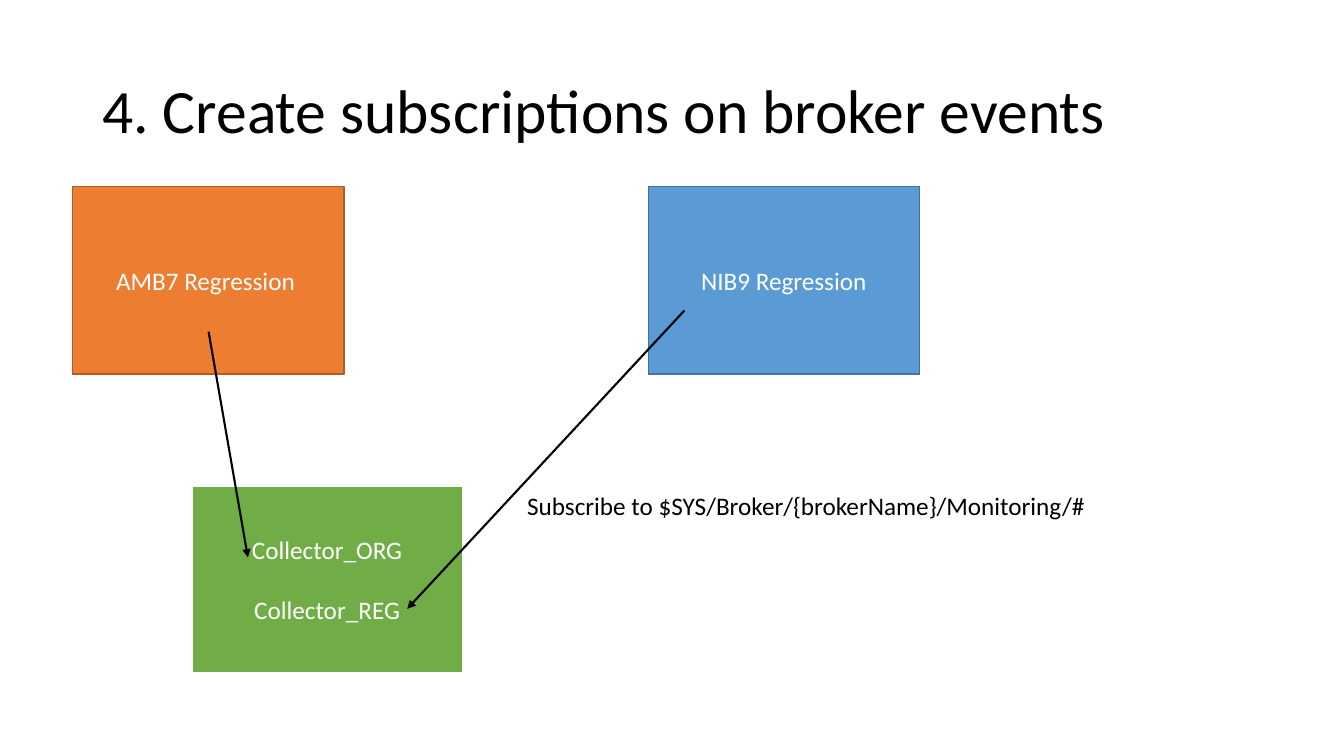
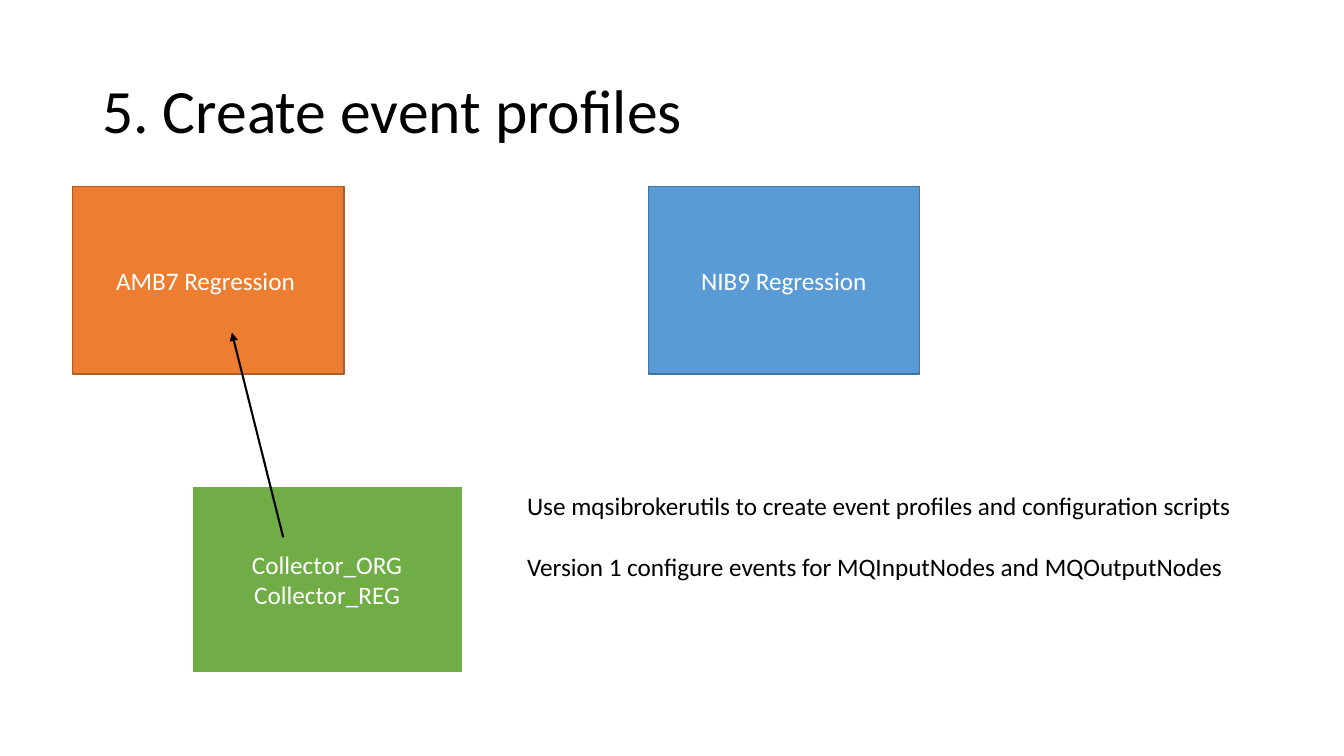
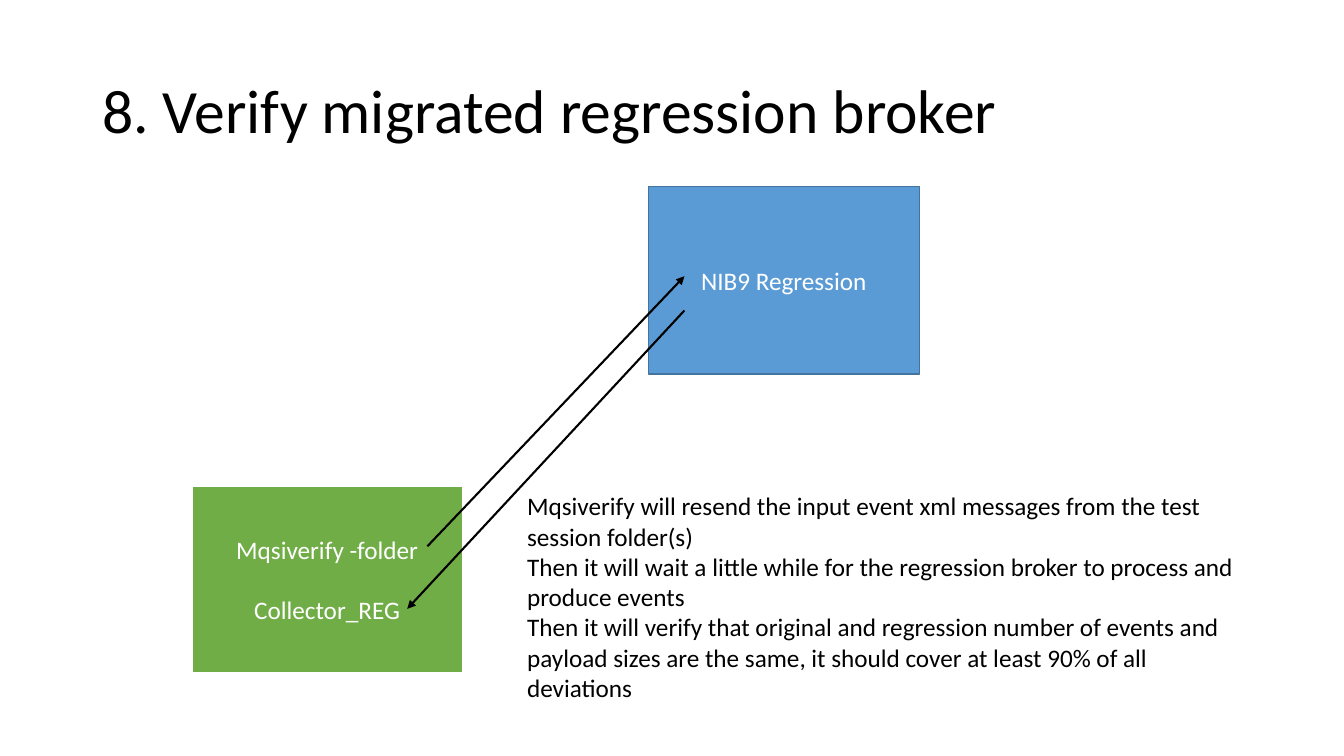
from lxml.etree import SubElement
from pptx import Presentation
from pptx.dml.color import RGBColor
from pptx.enum.shapes import MSO_CONNECTOR as Connector, MSO_SHAPE as Preset
from pptx.enum.text import MSO_ANCHOR as Anchor, MSO_AUTO_SIZE as AutoSize, PP_ALIGN as Align
from pptx.oxml.ns import qn
from pptx.util import Pt

FONT = "Calibri"
BLACK = "000000"
WHITE = "FFFFFF"
BODY_SIZE = 18
PARAGRAPH_GAP = 21.5
BOX_WIDTH, BOX_HEIGHT = 193.7, 133.9
BROKER_TOP = 133.2
COLLECTOR_TOP = 347

OLD_BROKER = dict(left=52, top=BROKER_TOP, fill="ED7D31", outline="AF5C24")
NEW_BROKER = dict(left=463, top=BROKER_TOP, fill="5B9BD5", outline="43739E")
COLLECTOR = dict(left=136.8, top=COLLECTOR_TOP, fill="70AD47", outline=WHITE, outline_width=1.5)

REPLY_ARROW = ((488.9, 221.8), (290.9, 434.9))


def color(hex_value):
    return RGBColor.from_string(hex_value)


def write_text(frame, lines, size=BODY_SIZE, hex_value=BLACK, align=Align.LEFT,
               anchor=Anchor.TOP, gap=0, line_spacing=1.0):
    frame.word_wrap = True
    frame.vertical_anchor = anchor
    for index, line in enumerate(lines):
        paragraph = frame.add_paragraph() if index else frame.paragraphs[0]
        paragraph.alignment = align
        paragraph.line_spacing = line_spacing
        paragraph.space_before = Pt(gap if index else 0)
        run = paragraph.add_run()
        run.text = line
        run.font.name = FONT
        run.font.size = Pt(size)
        run.font.color.rgb = color(hex_value)


def add_text(slide, left, top, width, height, lines, **text_format):
    shape = slide.shapes.add_textbox(Pt(left), Pt(top), Pt(width), Pt(height))
    write_text(shape.text_frame, lines, **text_format)
    return shape


def add_title(slide, title):
    add_text(slide, 66, 28.8, 828, 104.4, [title], size=44, anchor=Anchor.MIDDLE, line_spacing=0.9)


def add_note(slide, height, lines, gap=0):
    note = add_text(slide, 369.4, COLLECTOR_TOP, 525, height, lines, gap=gap)
    note.text_frame.auto_size = AutoSize.SHAPE_TO_FIT_TEXT


def add_box(slide, lines, left, top, fill, outline, outline_width=1, gap=0):
    shape = slide.shapes.add_shape(Preset.FLOWCHART_PROCESS, Pt(left), Pt(top),
                                   Pt(BOX_WIDTH), Pt(BOX_HEIGHT))
    shape.shadow.inherit = False
    shape.fill.solid()
    shape.fill.fore_color.rgb = color(fill)
    shape.line.color.rgb = color(outline)
    shape.line.width = Pt(outline_width)
    write_text(shape.text_frame, lines, hex_value=WHITE, align=Align.CENTER,
               anchor=Anchor.MIDDLE, gap=gap)


def add_arrow(slide, start, end):
    arrow = slide.shapes.add_connector(Connector.STRAIGHT, *(Pt(value) for value in start + end))
    arrow.line.color.rgb = color(BLACK)
    arrow.line.width = Pt(1.5)
    SubElement(arrow.line._get_or_add_ln(), qn("a:tailEnd"), type="triangle")
    SubElement(arrow._element.spPr, qn("a:effectLst"))


def add_step(presentation, title, collector_lines, collector_gap=0, with_old_broker=True):
    slide = presentation.slides.add_slide(presentation.slide_layouts[6])
    add_title(slide, title)
    if with_old_broker:
        add_box(slide, ["AMB7 Regression "], **OLD_BROKER)
    add_box(slide, ["NIB9 Regression"], **NEW_BROKER)
    add_box(slide, collector_lines, gap=collector_gap, **COLLECTOR)
    return slide


def add_subscriptions(presentation):
    slide = add_step(presentation, "4. Create subscriptions on broker events",
                     ["Collector_ORG", "Collector_REG"], collector_gap=PARAGRAPH_GAP)
    add_note(slide, 51, ["Subscribe to $SYS/Broker/{brokerName}/Monitoring/#"])
    add_arrow(slide, (149, 236.9), (177.1, 398.2))
    add_arrow(slide, *REPLY_ARROW)


def add_profiles(presentation):
    slide = add_step(presentation, "5. Create event profiles", ["Collector_ORG", "Collector_REG"])
    add_note(slide, 138, [
        "Use mqsibrokerutils to create event profiles and configuration scripts",
        "Version 1 configure events for MQInputNodes and MQOutputNodes",
    ], gap=PARAGRAPH_GAP)
    add_arrow(slide, (202.3, 383.8), (165.6, 237.6))


def add_verification(presentation):
    slide = add_step(presentation, "8. Verify migrated regression broker",
                     ["Mqsiverify -folder", "Collector_REG"],
                     collector_gap=PARAGRAPH_GAP, with_old_broker=False)
    add_note(slide, 181.5, [
        "Mqsiverify will resend the input event xml messages from the test session folder(s)",
        "Then it will wait a little while for the regression broker to process and produce events",
        "Then it will verify that original and regression number of events and payload sizes "
        "are the same, it should cover at least 90% of all deviations",
    ])
    add_arrow(slide, *REPLY_ARROW)
    add_arrow(slide, (305.3, 390.2), (488.9, 197.3))


def main():
    presentation = Presentation()
    presentation.slide_width = Pt(960)
    presentation.slide_height = Pt(540)
    add_subscriptions(presentation)
    add_profiles(presentation)
    add_verification(presentation)
    presentation.save("out.pptx")


if __name__ == "__main__":
    main()
